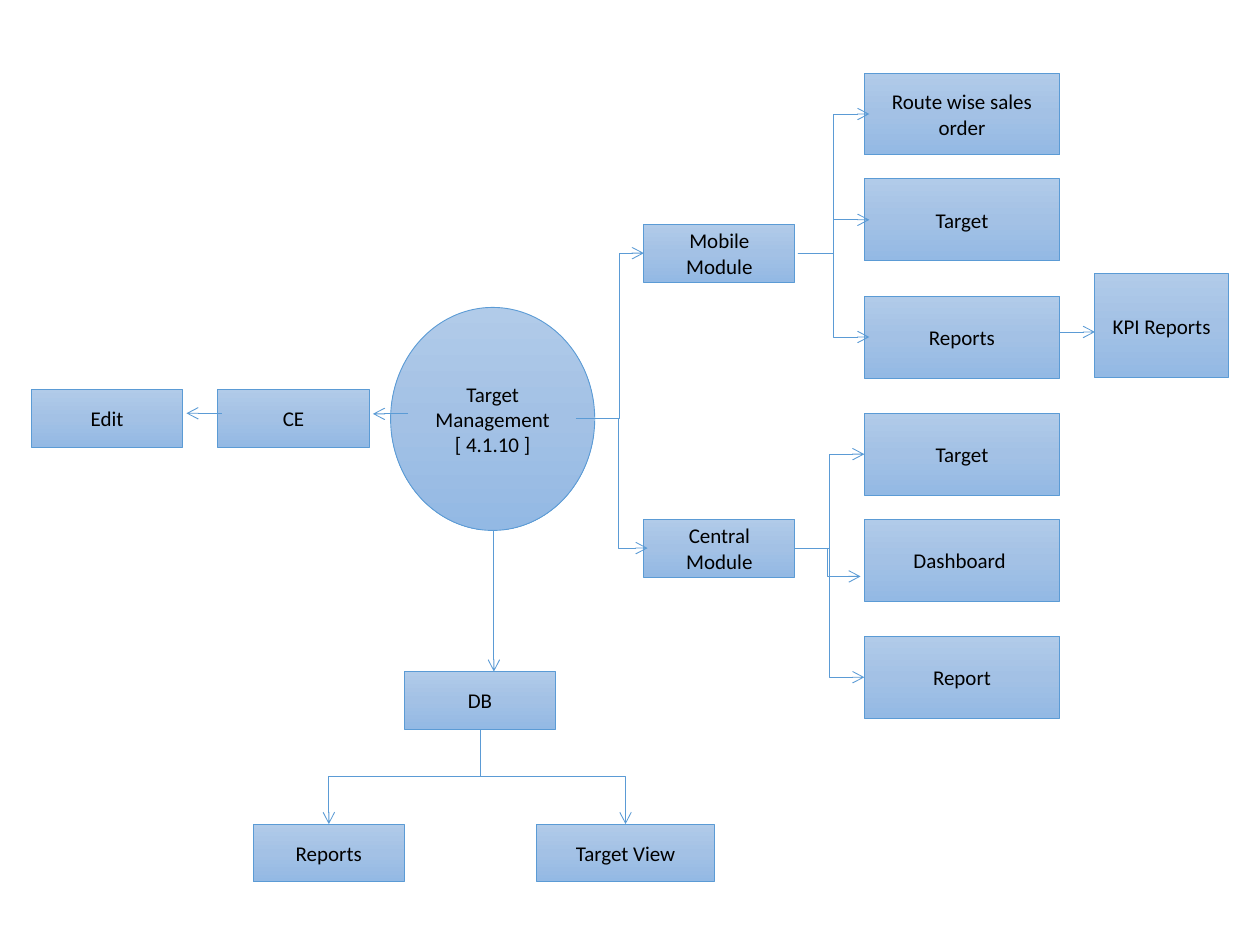
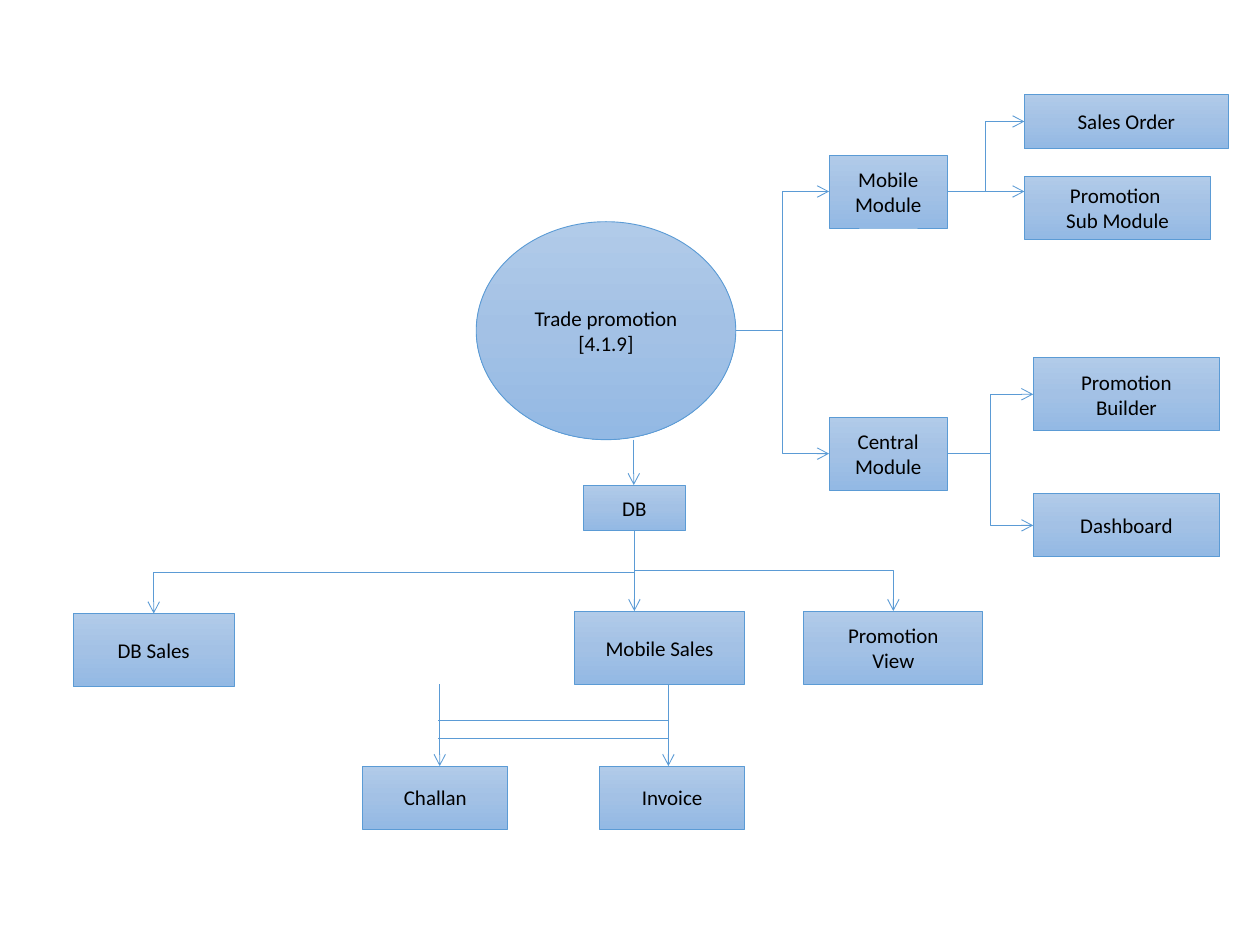
import pptx
import pptx.util
import pptx.dml.color
import pptx.enum.shapes
import pptx.enum.text
import pptx.oxml.ns
import lxml.etree

Inches, Pt = pptx.util.Inches, pptx.util.Pt
qn = pptx.oxml.ns.qn
SHAPE = pptx.enum.shapes.MSO_SHAPE
CONNECTOR = pptx.enum.shapes.MSO_CONNECTOR

# Shared look
FONT, TEXT_SIZE, TEXT_COLOUR = "Calibri", 12, "000000"
LINE_COLOUR, LINE_WIDTH = "5B9BD5", 0.5
GRADIENT = [(0, "B1CBE9"), (50, "A3C1E5"), (100, "93B9E4")]

# Boxes: key -> (left, top, width, height, lines of text); "hub" is the ellipse.
# Links: (start, end[, bend]); an end is (key, side[, dx, dy]) or a point (x, y).
SMALL, LARGE = (1.2, 0.46), (1.55, 0.65)
target_management = {
    "boxes": {
        "hub": (3.1, 2.44, 1.62, 1.77, ["Target Management", "[ 4.1.10 ]"]),
        "central": (5.11, 4.12, *SMALL, ["Central Module"]),
        "mobile": (5.11, 1.78, *SMALL, ["Mobile Module"]),
        "mobile target": (6.86, 1.42, *LARGE, ["Target"]),
        "route": (6.86, 0.58, *LARGE, ["Route wise sales order"]),
        "mobile reports": (6.86, 2.35, *LARGE, ["Reports"]),
        "dashboard": (6.86, 4.12, *LARGE, ["Dashboard "]),
        "central target": (6.86, 3.28, *LARGE, ["Target"]),
        "central report": (6.86, 5.05, *LARGE, ["Report"]),
        "kpi": (8.69, 2.17, 1.06, 0.83, ["KPI Reports"]),
        "ce": (1.73, 3.09, *SMALL, ["CE"]),
        "edit": (0.25, 3.09, *SMALL, ["Edit"]),
        "db": (3.21, 5.33, *SMALL, ["DB"]),
        "db reports": (2.01, 6.54, *SMALL, ["Reports"]),
        "target view": (4.26, 6.54, 1.41, 0.46, ["Target View"]),
    },
    "links": [
        (("mobile reports", "right", 0, -0.04), ("kpi", "left", 0, 0.05)),
        (("hub", "left", 0.14, -0.04), ("ce", "right", 0.03, -0.04)),
        (("ce", "left", 0.03, -0.04), ("edit", "right", 0.03, -0.04)),
        (("hub", "bottom", 0.01, 0), ("db", "top", 0.11, 0)),
        (("hub", "right"), ("mobile", "left")),
        (("hub", "right", -0.15, 0), ("central", "left", 0.03, 0), 0.59),
        *[(("mobile", "right", 0.02, 0), (key, "left", 0.04, 0))
          for key in ("route", "mobile target", "mobile reports")],
        (("central", "right"), ("central target", "left")),
        (("central", "right"), ("dashboard", "left", -0.03, 0.13)),
        (("central", "right"), ("central report", "left")),
        (("db", "bottom"), ("db reports", "top")),
        (("db", "bottom"), ("target view", "top")),
    ],
    "crossbars": [],
}

MODULE, DETAIL, SALE = (0.94, 0.58), (1.48, 0.5), (1.15, 0.5)
trade_promotion = {
    "boxes": {
        "order": (8.13, 0.75, 1.62, 0.43, ["Sales Order"]),
        "hub": (3.78, 1.76, 2.06, 1.73, ["Trade promotion", "[4.1.9]"]),
        "mobile": (6.58, 1.23, *MODULE, ["Mobile Module"]),
        "central": (6.58, 3.31, *MODULE, ["Central Module"]),
        "sub module": (8.13, 1.4, *DETAIL, ["Promotion ", "Sub Module"]),
        "dashboard": (8.2, 3.92, *DETAIL, ["Dashboard"]),
        "builder": (8.2, 2.84, 1.48, 0.58, ["Promotion", "Builder"]),
        "db": (4.63, 3.85, 0.81, 0.36, ["DB"]),
        "mobile sales": (4.56, 4.85, 1.35, 0.58, ["Mobile Sales"]),
        "view": (6.38, 4.85, 1.42, 0.58, ["Promotion", "View"]),
        "db sales": (0.58, 4.87, 1.28, 0.58, ["DB Sales"]),
        "invoice": (4.76, 6.08, *SALE, ["Invoice"]),
        "challan": (2.88, 6.08, *SALE, ["Challan"]),
    },
    "links": [
        (("mobile", "right"), ("sub module", "left", 0, -0.13)),
        (("hub", "bottom", 0.22, 0), ("db", "top")),
        (("hub", "right"), ("mobile", "left")),
        (("hub", "right"), ("central", "left")),
        (("mobile", "right"), ("order", "left")),
        (("central", "right"), ("builder", "left")),
        (("central", "right"), ("dashboard", "left")),
        (("db", "bottom"), ("db sales", "top")),
        (("db", "bottom"), ("mobile sales", "top", -0.2, 0)),
        (("db", "bottom"), ("view", "top")),
        ((3.49, 5.43), ("challan", "top", 0.03, 0)),
        (("mobile sales", "bottom", 0.07, 0), ("invoice", "top", -0.03, 0)),
    ],
    "crossbars": [((3.48, y), (5.3, y)) for y in (5.72, 5.86)],
}


def colour(value):
    return pptx.dml.color.RGBColor.from_string(value)


def style_line(line):
    line.color.rgb = colour(LINE_COLOUR)
    line.width = Pt(LINE_WIDTH)


def fill_gradient(shape):
    shape.fill.gradient()
    shape.fill.gradient_angle = 270
    stops = shape._element.spPr.find(".//" + qn("a:gsLst"))
    for stop in list(stops):
        stops.remove(stop)
    for percent, value in GRADIENT:
        stop = lxml.etree.SubElement(stops, qn("a:gs"), pos=str(percent * 1000))
        lxml.etree.SubElement(stop, qn("a:srgbClr"), val=value)


def add_box(slide, kind, left, top, width, height, lines):
    shape = slide.shapes.add_shape(kind, *map(Inches, (left, top, width, height)))
    shape.shadow.inherit = False
    fill_gradient(shape)
    style_line(shape.line)
    frame = shape.text_frame
    frame.word_wrap = True
    frame.vertical_anchor = pptx.enum.text.MSO_ANCHOR.MIDDLE
    for number, text in enumerate(lines):
        paragraph = frame.add_paragraph() if number else frame.paragraphs[0]
        paragraph.alignment = pptx.enum.text.PP_ALIGN.CENTER
        run = paragraph.add_run()
        run.text = text
        run.font.name, run.font.size = FONT, Pt(TEXT_SIZE)
        run.font.color.rgb = colour(TEXT_COLOUR)


def locate(boxes, end):
    """Turn a link end into a point."""
    if not isinstance(end[0], str):
        return end
    key, side, dx, dy = end if len(end) == 4 else (*end, 0, 0)
    left, top, width, height, _ = boxes[key]
    across, down = {"left": (0, 0.5), "right": (1, 0.5),
                    "top": (0.5, 0), "bottom": (0.5, 1)}[side]
    return left + across * width + dx, top + down * height + dy


def add_line(slide, kind, start, end, arrow=True):
    connector = slide.shapes.add_connector(kind, *map(Inches, (*start, *end)))
    style_line(connector.line)
    properties = connector._element.spPr
    if arrow:
        outline = properties.find(qn("a:ln"))
        lxml.etree.SubElement(outline, qn("a:tailEnd"), type="arrow")
    lxml.etree.SubElement(properties, qn("a:effectLst"))
    return properties


def add_link(slide, boxes, start_end, finish_end, bend=0.5):
    (x1, y1), (x2, y2) = locate(boxes, start_end), locate(boxes, finish_end)
    if abs(x1 - x2) < 0.02 or abs(y1 - y2) < 0.02:
        x2 = x1 if abs(x1 - x2) < 0.02 else x2
        y2 = y1 if abs(y1 - y2) < 0.02 else y2
        add_line(slide, CONNECTOR.STRAIGHT, (x1, y1), (x2, y2))
        return
    turn = 0
    if start_end[1] == "bottom":
        # An elbow that leaves downwards is a sideways one, turned about its centre
        middle_x, middle_y = (x1 + x2) / 2, (y1 + y2) / 2
        half_width, half_height = (y2 - y1) / 2, abs(x2 - x1) / 2
        turn = 90
        if x2 > x1:
            turn, half_width = 270, -half_width
        x1, x2 = middle_x - half_width, middle_x + half_width
        y1, y2 = middle_y - half_height, middle_y + half_height
    properties = add_line(slide, CONNECTOR.ELBOW, (x1, y1), (x2, y2))
    if turn:
        properties.find(qn("a:xfrm")).set("rot", str(turn * 60000))
    if bend != 0.5:
        adjustments = properties.find(".//" + qn("a:avLst"))
        lxml.etree.SubElement(adjustments, qn("a:gd"), name="adj1",
                              fmla=f"val {round(bend * 100000)}")


# Build one slide per diagram
deck = pptx.Presentation()
deck.slide_width, deck.slide_height = Inches(10), Inches(7.5)
for diagram in (target_management, trade_promotion):
    slide = deck.slides.add_slide(deck.slide_layouts[6])
    boxes = diagram["boxes"]
    for key, box in boxes.items():
        add_box(slide, SHAPE.OVAL if key == "hub" else SHAPE.RECTANGLE, *box)
    for link in diagram["links"]:
        add_link(slide, boxes, *link)
    for start, end in diagram["crossbars"]:
        add_line(slide, CONNECTOR.STRAIGHT, start, end, arrow=False)
deck.save("out.pptx")
